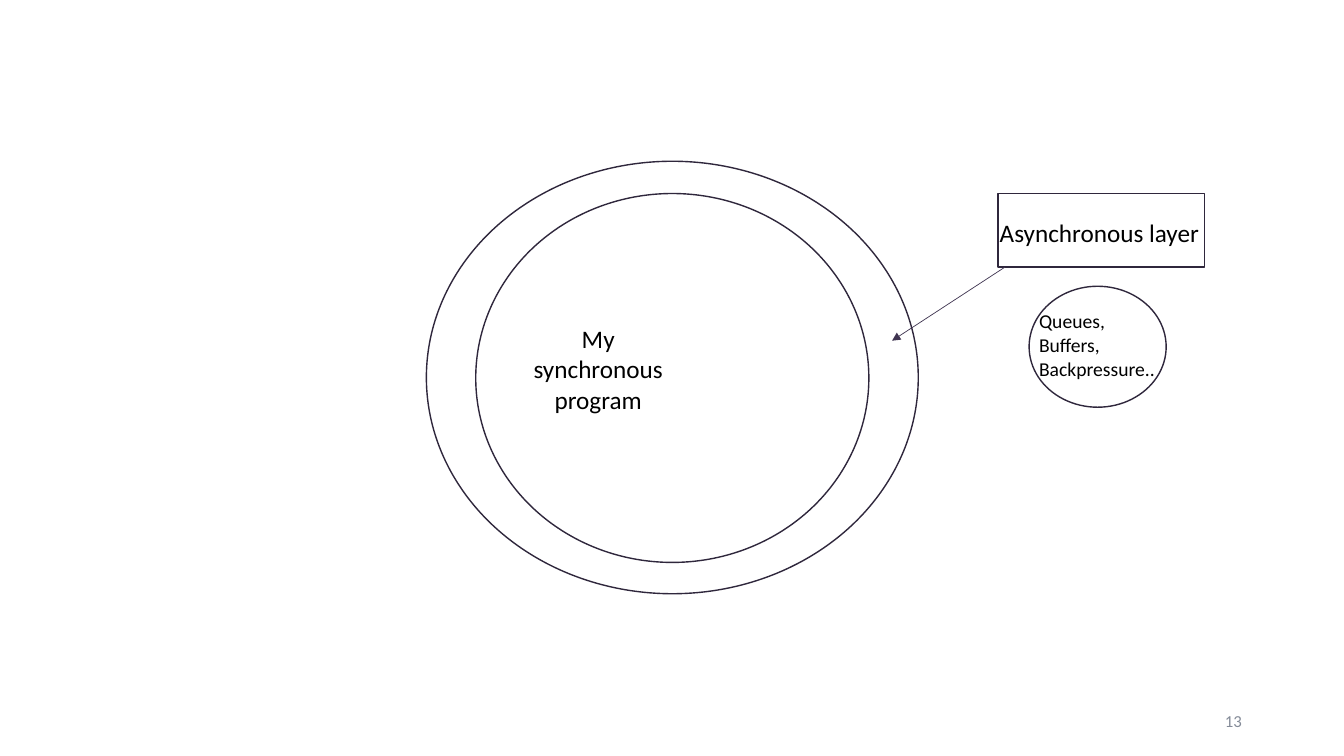
from dataclasses import dataclass

from lxml import etree
from pptx import Presentation
from pptx.dml.color import RGBColor
from pptx.enum.shapes import MSO_CONNECTOR, MSO_SHAPE
from pptx.enum.text import MSO_ANCHOR, MSO_AUTO_SIZE, PP_ALIGN
from pptx.oxml.ns import qn
from pptx.slide import Slide
from pptx.util import Pt

ELLIPSE, RECTANGLE = MSO_SHAPE.OVAL, MSO_SHAPE.RECTANGLE
STRAIGHT = MSO_CONNECTOR.STRAIGHT
LEFT, CENTER, RIGHT = PP_ALIGN.LEFT, PP_ALIGN.CENTER, PP_ALIGN.RIGHT
TOP, MIDDLE = MSO_ANCHOR.TOP, MSO_ANCHOR.MIDDLE
FIXED, GROW = MSO_AUTO_SIZE.NONE, MSO_AUTO_SIZE.SHAPE_TO_FIT_TEXT

COLORS = {"outline": "2F273C", "arrow": "403551", "text": "000000", "number": "848B98"}
FONT = "Calibri"


@dataclass(frozen=True)
class Box:
    left: float
    top: float
    width: float
    height: float


@dataclass(frozen=True)
class Outline:
    preset: MSO_SHAPE
    box: Box


@dataclass(frozen=True)
class Label:
    text: str
    box: Box
    size: float = 18
    color: str = "text"
    align: PP_ALIGN = LEFT
    anchor: MSO_ANCHOR = TOP
    wrap: bool = True
    fit: MSO_AUTO_SIZE = GROW


queues_box = Box(735.12, 204.48, 97.92, 86.4)

OUTLINES = [
    Outline(ELLIPSE, Box(339.84, 138.24, 280.8, 263.52)),
    Outline(ELLIPSE, Box(304.56, 115.2, 351.36, 308.88)),
    Outline(RECTANGLE, Box(712.8, 138.24, 147.6, 52.56)),
    Outline(ELLIPSE, queues_box),
]

LABELS = [
    Label("13", Box(678.24, 500.4, 216, 28.8), size=12, color="number",
          align=RIGHT, anchor=MIDDLE, fit=FIXED),
    Label("My synchronous program", Box(365.04, 227.52, 124.56, 72.72), align=CENTER),
    Label("Asynchronous layer", Box(707.04, 151.92, 158.4, 28.8), wrap=False),
    Label("Queues,\nBuffers,\nBackpressure..",
          Box(queues_box.left, 217.44, queues_box.width, 58.32), size=14, wrap=False),
]


def in_points(*values: float) -> list[Pt]:
    return [Pt(value) for value in values]


def place(box: Box) -> list[Pt]:
    return in_points(box.left, box.top, box.width, box.height)


def draw_outline(slide: Slide, outline: Outline) -> None:
    shape = slide.shapes.add_shape(outline.preset, *place(outline.box))
    shape.shadow.inherit = False
    shape.fill.background()
    shape.line.color.rgb = RGBColor.from_string(COLORS["outline"])
    shape.line.width = Pt(1)


def draw_label(slide: Slide, label: Label) -> None:
    frame = slide.shapes.add_textbox(*place(label.box)).text_frame
    frame_format = {
        "word_wrap": label.wrap,
        "auto_size": label.fit,
        "vertical_anchor": label.anchor,
    }
    for attribute, value in frame_format.items():
        setattr(frame, attribute, value)
    paragraph = frame.paragraphs[0]
    paragraph.text = label.text
    paragraph.alignment = label.align
    for run in paragraph.runs:
        for attribute, value in {"name": FONT, "size": Pt(label.size)}.items():
            setattr(run.font, attribute, value)
        run.font.color.rgb = RGBColor.from_string(COLORS[label.color])
    for line_break in paragraph._p.findall(qn("a:br")):
        etree.SubElement(line_break, qn("a:rPr"), sz=str(int(label.size * 100)))


def draw_arrow(slide: Slide, start: tuple[float, float], end: tuple[float, float]) -> None:
    arrow = slide.shapes.add_connector(STRAIGHT, *in_points(*start, *end))
    arrow.line.color.rgb = RGBColor.from_string(COLORS["arrow"])
    arrow.line.width = Pt(0.5)
    etree.SubElement(arrow.line._get_or_add_ln(), qn("a:tailEnd"), type="triangle")
    etree.SubElement(arrow._element.spPr, qn("a:effectLst"))


def main() -> None:
    presentation = Presentation()
    presentation.slide_width, presentation.slide_height = in_points(960, 540)
    slide = presentation.slides.add_slide(presentation.slide_layouts[6])
    for outline in OUTLINES:
        draw_outline(slide, outline)
    draw_arrow(slide, (717.84, 190.8), (637.2, 243.36))
    for label in LABELS:
        draw_label(slide, label)
    presentation.save("out.pptx")


if __name__ == "__main__":
    main()
